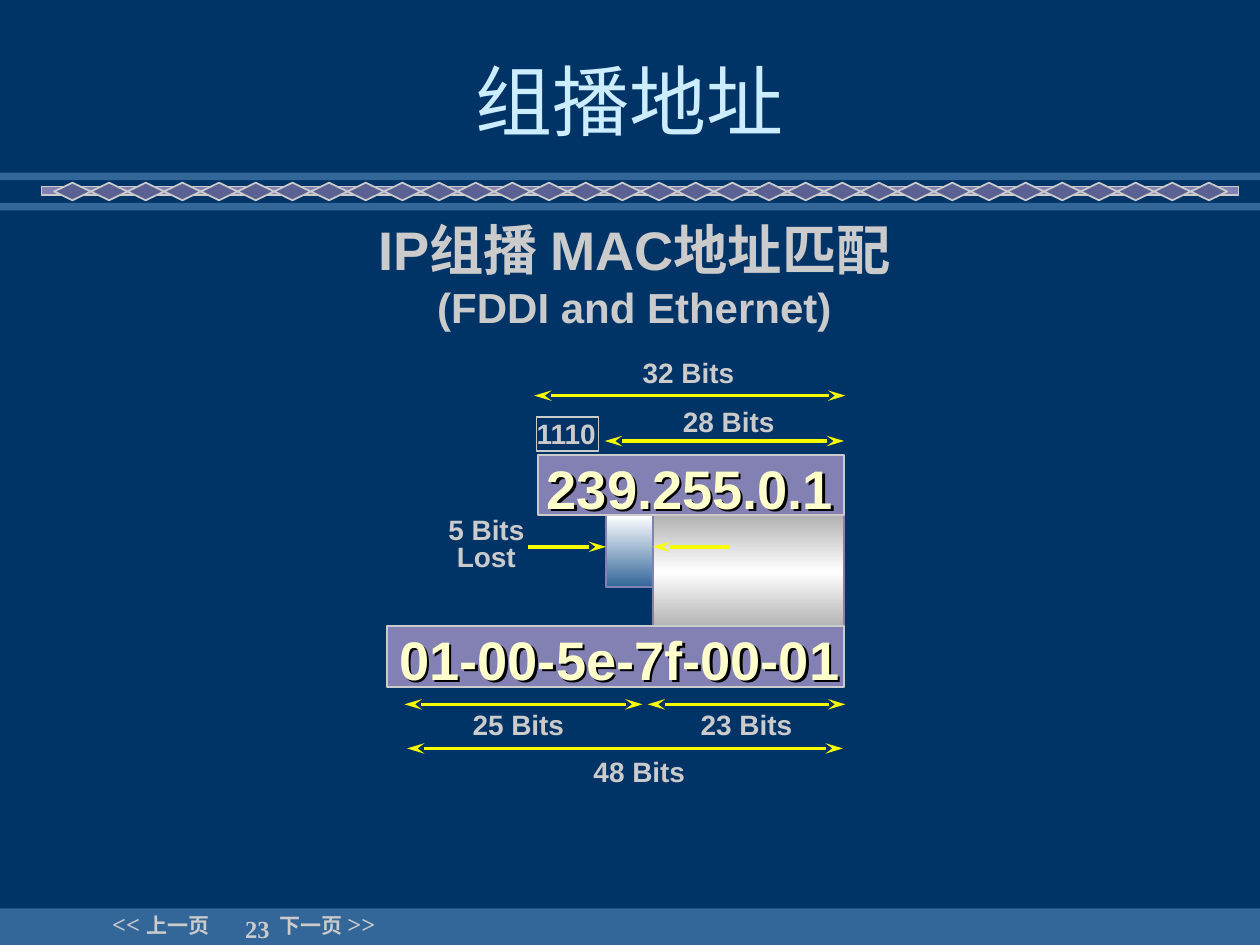
from lxml import etree
from pptx import Presentation
from pptx.dml.color import RGBColor
from pptx.enum.shapes import MSO_CONNECTOR, MSO_SHAPE
from pptx.enum.text import MSO_ANCHOR, MSO_AUTO_SIZE, PP_ALIGN
from pptx.oxml.ns import qn
from pptx.util import Inches, Pt

NAVY = RGBColor(0x00, 0x33, 0x66)
BLUE = RGBColor(0x33, 0x66, 0x99)
LILAC = RGBColor(0x83, 0x81, 0xB3)
INDIGO = RGBColor(0x5B, 0x61, 0x92)
SILVER = RGBColor(0xCB, 0xCB, 0xCB)
GRAY = RGBColor(0xB2, 0xB2, 0xB2)
WHITE = RGBColor(0xFF, 0xFF, 0xFF)
YELLOW = RGBColor(0xFA, 0xFD, 0x00)
CREAM = RGBColor(0xFF, 0xFF, 0xCC)
ICE = RGBColor(0xCC, 0xEC, 0xFF)
BLACK = RGBColor(0x00, 0x00, 0x00)

RECTANGLE, DIAMOND = MSO_SHAPE.RECTANGLE, MSO_SHAPE.DIAMOND
STRAIGHT = MSO_CONNECTOR.STRAIGHT
LEFT, CENTER, RIGHT = PP_ALIGN.LEFT, PP_ALIGN.CENTER, PP_ALIGN.RIGHT
TOP, MIDDLE, BOTTOM = MSO_ANCHOR.TOP, MSO_ANCHOR.MIDDLE, MSO_ANCHOR.BOTTOM
FIT_SHAPE, FIXED = MSO_AUTO_SIZE.SHAPE_TO_FIT_TEXT, MSO_AUTO_SIZE.NONE
LABEL_INSETS = (0.09, 0.05, 0.09, 0.05)
FOOTER_INSETS = (0.02, 0.05, 0.02, 0.01)


def write_text(frame, lines, size=16, color=SILVER, font="Arial", bold=True,
               align=LEFT, anchor=TOP, insets=LABEL_INSETS, wrap=False,
               spacing=None):
    frame.word_wrap = wrap
    frame.auto_size = FIXED if wrap else FIT_SHAPE
    frame.vertical_anchor = anchor
    (frame.margin_left, frame.margin_top,
     frame.margin_right, frame.margin_bottom) = map(Inches, insets)
    for index, line in enumerate(lines):
        paragraph = frame.add_paragraph() if index else frame.paragraphs[0]
        paragraph.alignment = align
        paragraph.line_spacing = spacing
        for text, run_size in ([(line, size)] if isinstance(line, str) else line):
            run = paragraph.add_run()
            run.text = text
            run.font.name = font
            run.font.size = Pt(run_size)
            run.font.bold = bold
            run.font.color.rgb = color


class SlideBuilder:
    def __init__(self, presentation):
        self.slide = presentation.slides.add_slide(presentation.slide_layouts[5])
        self.slide.background.fill.solid()
        self.slide.background.fill.fore_color.rgb = NAVY

    def title(self, text, box, **style):
        title = self.slide.shapes.title
        title.left, title.top, title.width, title.height = map(Inches, box)
        write_text(title.text_frame, [text], **style)

    def text(self, lines, box, **style):
        textbox = self.slide.shapes.add_textbox(*map(Inches, box))
        write_text(textbox.text_frame, lines, **style)
        return textbox

    def address(self, text, bar_box, text_box):
        self.shape(bar_box, LILAC, SILVER)
        textbox = self.text([text], text_box, size=31, color=CREAM, align=CENTER)
        effects = etree.SubElement(textbox._element.spPr, qn("a:effectLst"))
        shadow = etree.SubElement(effects, qn("a:outerShdw"),
                                  dist=str(Pt(2)), dir="2700000")
        etree.SubElement(shadow, qn("a:srgbClr"), val=str(BLACK))

    def shape(self, box, fill=None, line=None, width=1, kind=RECTANGLE, group=None):
        shapes = (group or self.slide).shapes
        shape = shapes.add_shape(kind, *map(Inches, box))
        shape.shadow.inherit = False
        if fill:
            shape.fill.solid()
            shape.fill.fore_color.rgb = fill
        else:
            shape.fill.background()
        if line:
            shape.line.color.rgb = line
            shape.line.width = Pt(width)
        else:
            shape.line.fill.background()
        return shape

    def gradient(self, box, colors):
        shape = self.shape(box, line=LILAC)
        shape.fill.gradient()
        shape.fill.gradient_angle = 270
        stops = shape._element.spPr.find(".//" + qn("a:gsLst"))
        for stop in list(stops):
            stops.remove(stop)
        for index, color in enumerate(colors):
            position = str(100000 * index // (len(colors) - 1))
            stop = etree.SubElement(stops, qn("a:gs"), pos=position)
            etree.SubElement(stop, qn("a:srgbClr"), val=str(color))

    def arrow(self, start, end, y, ends=("headEnd", "tailEnd")):
        arrow = self.slide.shapes.add_connector(
            STRAIGHT, Inches(start), Inches(y), Inches(end), Inches(y))
        arrow.line.color.rgb = YELLOW
        arrow.line.width = Pt(2)
        properties = arrow._element.spPr
        for end_name in ends:
            etree.SubElement(properties.find(qn("a:ln")), qn("a:" + end_name),
                             type="stealth", w="med", len="lg")
        etree.SubElement(properties, qn("a:effectLst"))

    def ornament(self):
        for top, height in ((1.37, 0.06), (7.21, 0.29), (1.61, 0.06)):
            self.shape((0, top, 10, height), BLUE)
        group = self.slide.shapes.add_group_shape()
        self.shape((0.33, 1.48, 9.5, 0.07), LILAC, SILVER, group=group)
        count, first, last = 32, 0.43, 9.45
        pitch = (last - first) / (count - 1)
        for index in range(count):
            self.shape((first + index * pitch, 1.45, 0.29, 0.14),
                       INDIGO, SILVER, kind=DIAMOND, group=group)

    def footer(self):
        style = dict(font="Times New Roman", anchor=BOTTOM, insets=FOOTER_INSETS)
        self.text([[("<< ", 14), ("上一页", 12)]], (0.87, 7.16, 0.86, 0.3), **style)
        self.text([[("下一页 ", 12), (">>", 14)]], (2.2, 7.16, 0.84, 0.3), **style)
        self.text(["23"], (1.83, 7.25, 0.33, 0.25), size=14, align=RIGHT, **style)


def main():
    presentation = Presentation()
    presentation.slide_width, presentation.slide_height = Inches(10), Inches(7.5)
    builder = SlideBuilder(presentation)
    builder.ornament()
    builder.footer()

    builder.title("组播地址", (0.75, 0.25, 8.5, 1.08), size=44, color=ICE,
                  font="Montserrat", bold=False, align=CENTER, anchor=MIDDLE,
                  insets=(0.1, 0.05, 0.1, 0.05), wrap=True)
    builder.text([[("IP组播 MAC地址匹配", 31)], [("(FDDI and Ethernet)", 24)]],
                 (2.75, 1.67, 4.57, 1.01), align=CENTER, anchor=MIDDLE,
                 insets=(0.09, 0.04, 0.09, 0.04))

    builder.gradient((4.81, 4.09, 0.41, 0.57), (WHITE, BLUE))
    builder.gradient((5.18, 4.09, 1.52, 0.89), (GRAY, WHITE, GRAY))

    for bits, start, end, arrow_top, label_left, label_top in (
            (32, 4.24, 6.71, 3.14, 5.01, 2.77),
            (28, 4.8, 6.7, 3.5, 5.33, 3.16),
            (25, 3.21, 5.1, 5.59, 3.66, 5.57),
            (23, 5.14, 6.71, 5.59, 5.47, 5.57),
            (48, 3.23, 6.69, 5.94, 4.62, 5.94)):
        builder.arrow(start, end, arrow_top)
        builder.text([f"{bits} Bits"], (label_left, label_top, 0.91, 0.36))

    builder.address("01-00-5e-7f-00-01", (3.07, 4.97, 3.63, 0.48),
                    (3.08, 4.92, 3.67, 0.61))
    builder.address("239.255.0.1", (4.27, 3.61, 2.43, 0.48),
                    (4.2, 3.56, 2.55, 0.61))

    prefix = builder.shape((4.26, 3.31, 0.49, 0.27), line=SILVER, width=0.75)
    write_text(prefix.text_frame, ["1110"], insets=(0, 0, 0, 0))

    for start, end in ((4.19, 4.81), (5.79, 5.18)):
        builder.arrow(start, end, 4.34, ends=("tailEnd",))
    builder.text(["5 Bits", "Lost"], (3.42, 4.07, 0.88, 0.52),
                 align=CENTER, spacing=0.8)

    presentation.save("out.pptx")


if __name__ == "__main__":
    main()
